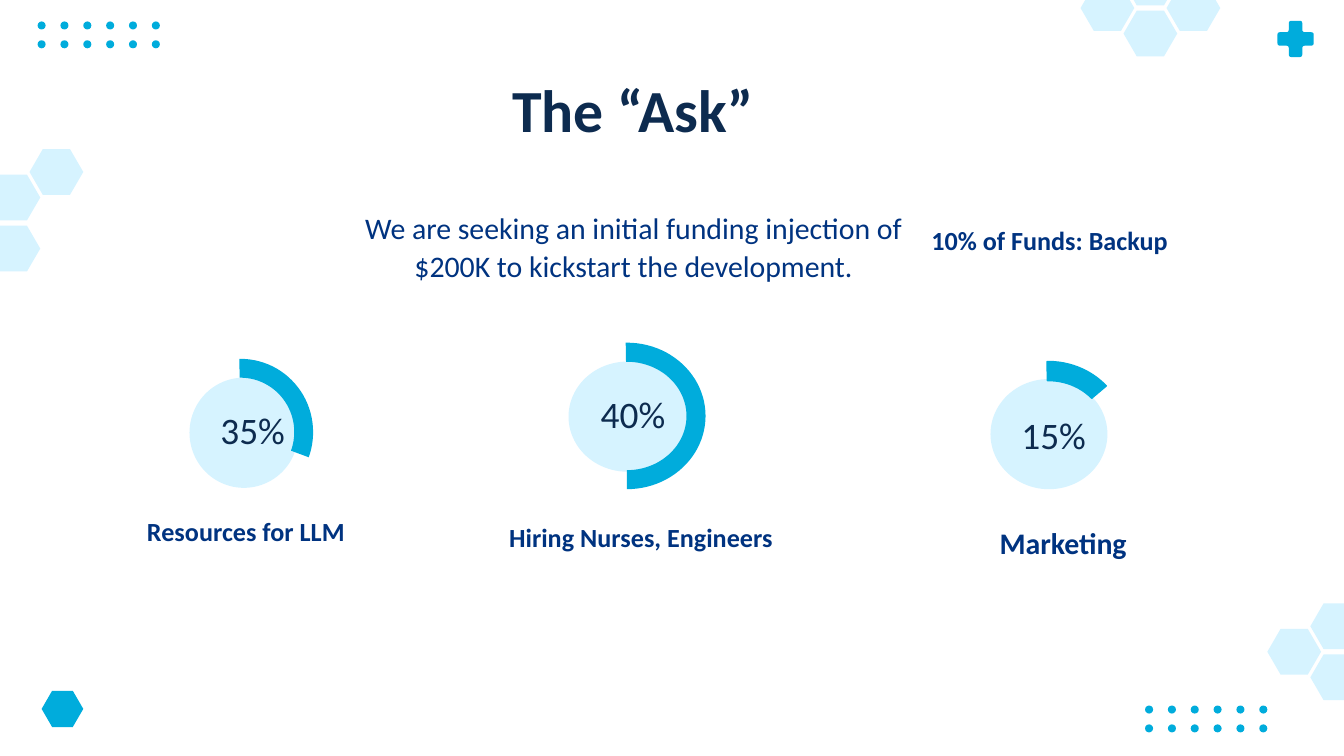
import pptx
import pptx.util
import pptx.dml.color
import pptx.enum.shapes
import pptx.enum.text

Inches, Pt = pptx.util.Inches, pptx.util.Pt
SHAPE = pptx.enum.shapes.MSO_SHAPE
ANCHOR = pptx.enum.text.MSO_ANCHOR
ALIGN = pptx.enum.text.PP_ALIGN

THEME = {
    "font": "Calibri",
    "accent": "00ACDC", "pale": "D6F3FF", "navy": "0D2B4F", "blue": "003380",
    "title": 32, "percent": 20, "body": 16, "label": 14,
}

# Content; boxes are left, top, width, height in inches
TITLE = ("The “Ask”", (3.71, 0.44, 8.43, 0.63))
INTRO = ("We are seeking an initial funding injection of $200K to kickstart the development.",
         (2.37, 1.44, 4.69, 0.83))
BACKUP = ("10% of Funds: Backup", (6.62, 1.56))
LABEL_SIZE, PERCENT_SIZE = (2.38, 0.44), (1.08, 0.49)
GAUGES = [
    {"percent": "35%", "percent_at": (1.34, 2.97), "label": "Resources for LLM",
     "label_at": (0.64, 3.73), "label_size": "label", "start": 95.84,
     "circle": (1.41, 2.81, 0.81, 0.82), "arc": (1.25, 2.67, 1.08, 1.09)},
    {"percent": "40%", "percent_at": (4.17, 2.85), "label": "Hiring Nurses, Engineers",
     "label_at": (3.58, 3.77), "label_size": "label", "start": 54.01,
     "circle": (4.23, 2.69, 0.88, 0.82), "arc": (4.08, 2.55, 1.17, 1.09)},
    {"percent": "15%", "percent_at": (7.30, 3.01), "label": "Marketing",
     "label_at": (6.72, 3.83), "label_size": "body", "start": 132.03, "outline": True,
     "circle": (7.37, 2.82, 0.87, 0.82), "arc": (7.22, 2.69, 1.16, 1.09)},
]
ARC_END, ARC_THICKNESS = 162.57, 0.13

# Decoration: honeycomb cells are (column, row) steps from the cluster's origin
HEX_SIZE, HEX_STEP = (0.40, 0.34), (0.32, 0.19)
HONEYCOMBS = [
    ((-0.10, 1.30), [(0, 0), (0, 2), (1, -1)]),
    ((9.43, 4.68), [(1, -1), (1, 1), (0, 0)]),
    ((8.04, -0.11), [(2, 0), (1, -1), (1, 1), (0, 0)]),
]
ACCENT_HEX = (0.31, 5.14, 0.31, 0.27)
DOT_GRIDS, DOT_STEP, DOT = [(0.28, 0.16), (8.52, 5.25)], (0.17, 0.14), 0.06
PLUS_CENTRE, PLUS_HALF, PLUS_ARM, PLUS_RADIUS = (9.64, 0.29), 0.27 / 2, 0.05, 0.02


def rgb(name):
    return pptx.dml.color.RGBColor.from_string(THEME[name])


def paint(sp, color, outline=False):
    sp.shadow.inherit = False
    sp.fill.solid()
    sp.fill.fore_color.rgb = rgb(color)
    if outline:
        sp.line.color.rgb = rgb(color)
        sp.line.width = Pt(0.75)
    else:
        sp.line.fill.background()


def add_shape(s, kind, box, color, outline=False):
    sp = s.shapes.add_shape(kind, *map(Inches, box))
    paint(sp, color, outline)
    return sp


def add_hexagon(s, box, color):
    sp = add_shape(s, SHAPE.HEXAGON, box, color)
    sp.adjustments[0] = 0.29


def write(sp, text, size, color, bold=False, align=ALIGN.CENTER, anchor=ANCHOR.BOTTOM):
    tf = sp.text_frame
    frame = {"word_wrap": True, "auto_size": pptx.enum.text.MSO_AUTO_SIZE.NONE,
             "vertical_anchor": anchor}
    frame.update({f"margin_{side}": Inches(0.1) for side in ("left", "top", "right", "bottom")})
    for name, value in frame.items():
        setattr(tf, name, value)
    p = tf.paragraphs[0]
    p.alignment = align
    r = p.add_run()
    r.text = text
    font = {"name": THEME["font"], "size": Pt(THEME[size]), "bold": bold}
    for name, value in font.items():
        setattr(r.font, name, value)
    r.font.color.rgb = rgb(color)
    return p


def add_text(s, box, *args, **kwargs):
    return write(s.shapes.add_textbox(*map(Inches, box)), *args, **kwargs)


def add_plus(s):
    h, a = PLUS_HALF, PLUS_ARM
    corners = [(-a, -h), (a, -h), (a, -a), (h, -a), (h, a), (a, a),
               (a, h), (-a, h), (-a, a), (-h, a), (-h, -a), (-a, -a)]
    points = []
    for i, corner in enumerate(corners):
        before, after = corners[i - 1], corners[(i + 1) % len(corners)]
        # Round each corner with a quadratic curve between its two sides
        ends = []
        for other in (before, after):
            length = abs(other[0] - corner[0]) + abs(other[1] - corner[1])
            ends.append([c + (o - c) * PLUS_RADIUS / length for c, o in zip(corner, other)])
        for t in (0, 0.25, 0.5, 0.75, 1):
            points.append([Inches(m + (1 - t) ** 2 * b + 2 * t * (1 - t) * c + t * t * e)
                           for m, b, c, e in zip(PLUS_CENTRE, ends[0], corner, ends[1])])
    builder = s.shapes.build_freeform(*points[0])
    builder.add_line_segments(points[1:], close=True)
    paint(builder.convert_to_shape(), "accent")


def add_decoration(s):
    add_plus(s)
    add_hexagon(s, ACCENT_HEX, "accent")
    for x, y in DOT_GRIDS:
        for row in range(2):
            for col in range(6):
                box = (x + col * DOT_STEP[0], y + row * DOT_STEP[1], DOT, DOT)
                add_shape(s, SHAPE.OVAL, box, "accent")
    for (x, y), cells in HONEYCOMBS:
        for col, row in cells:
            add_hexagon(s, (x + col * HEX_STEP[0], y + row * HEX_STEP[1], *HEX_SIZE), "pale")


def add_gauge(s, g):
    add_shape(s, SHAPE.OVAL, g["circle"], "pale")
    arc = add_shape(s, SHAPE.BLOCK_ARC, g["arc"], "accent", g.get("outline", False))
    for i, value in enumerate((g["start"], ARC_END, ARC_THICKNESS)):
        arc.adjustments[i] = value
    arc.element.spPr.xfrm.set("flipH", "1")
    add_text(s, g["percent_at"] + PERCENT_SIZE, g["percent"], "percent", "navy")
    add_text(s, g["label_at"] + LABEL_SIZE, g["label"], g["label_size"], "blue", bold=True)


def main():
    # 16:9 slide
    prs = pptx.Presentation()
    prs.slide_width = Inches(10)
    prs.slide_height = Inches(10 * 9 / 16)
    s = prs.slides.add_slide(prs.slide_layouts[5])
    add_decoration(s)

    # Title and funding statement
    title = s.shapes.title
    title.left, title.top, title.width, title.height = map(Inches, TITLE[1])
    write(title, TITLE[0], "title", "navy", bold=True, align=ALIGN.LEFT, anchor=ANCHOR.TOP)
    p = add_text(s, INTRO[1], INTRO[0], "body", "blue", anchor=ANCHOR.TOP)
    p.line_spacing, p.space_after = 1.07, Pt(8)

    # Fund allocation
    for g in GAUGES:
        add_gauge(s, g)
    add_text(s, BACKUP[1] + LABEL_SIZE, BACKUP[0], "label", "blue", bold=True)
    prs.save("out.pptx")


if __name__ == "__main__":
    main()
